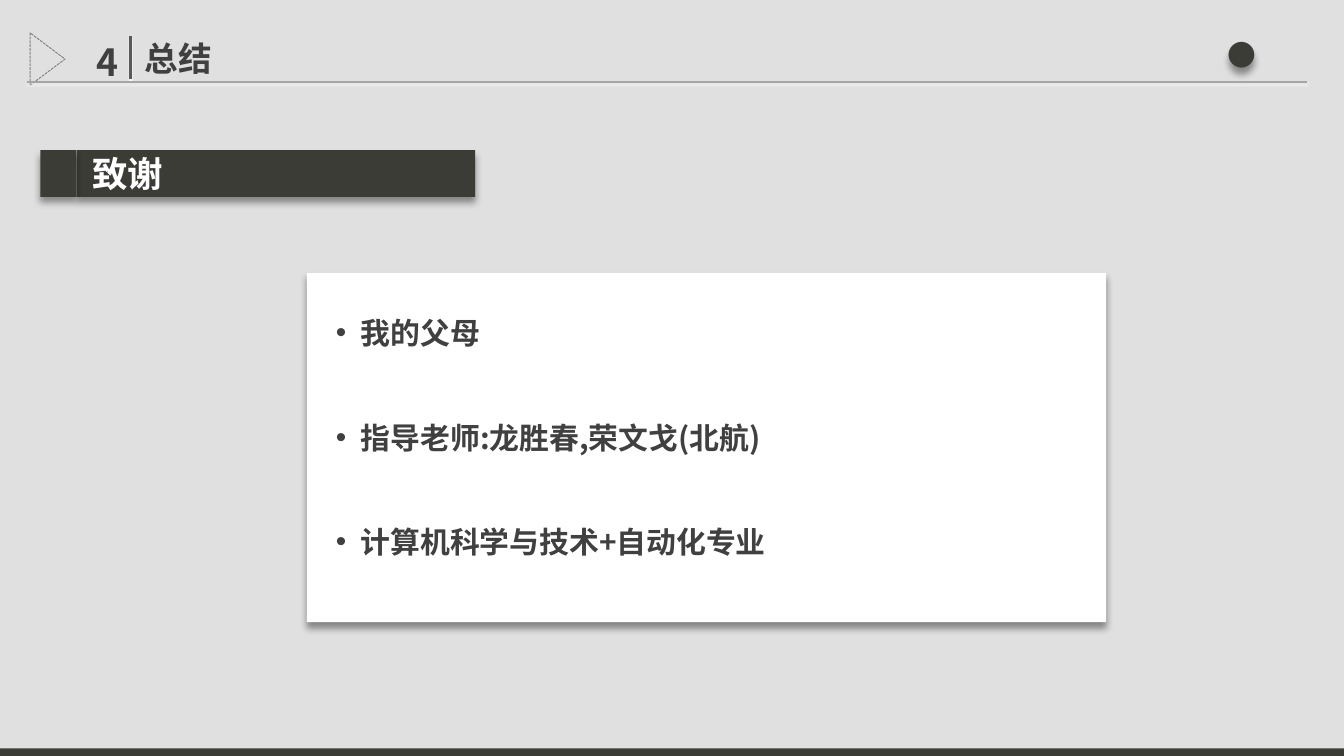
from lxml.etree import SubElement
from pptx import Presentation
from pptx.dml.color import RGBColor
from pptx.enum.dml import MSO_LINE
from pptx.enum.shapes import MSO_CONNECTOR, MSO_SHAPE
from pptx.enum.text import MSO_AUTO_SIZE, PP_ALIGN
from pptx.oxml.ns import qn
from pptx.util import Pt

FONT = "Noto Sans CJK SC"
DARK = "3C3C37"
GREY = "404040"
SOFT = ("000000", 40, 4, 3)
GLOW = ("FFFFFF", 100, 1, 1)


def rgb(color):
    """Return a colour object for a hex string."""
    return RGBColor.from_string(color)


def set_shadow(sp, shadow):
    """Give a shape a downward shadow of colour, opacity, blur and distance, or none."""
    effects = SubElement(sp._element.spPr, qn("a:effectLst"))
    if shadow:
        color, opacity, blur, dist = shadow
        outer = SubElement(effects, qn("a:outerShdw"), blurRad=str(Pt(blur)),
                           dist=str(Pt(dist)), dir="5400000", algn="t", rotWithShape="0")
        clr = SubElement(outer, qn("a:srgbClr"), val=color)
        SubElement(clr, qn("a:alpha"), val=str(opacity * 1000))


def add_rect(s, x, y, w, h, color, shadow=None, opacity=None):
    """Add a filled rectangle without outline."""
    sp = s.shapes.add_shape(MSO_SHAPE.RECTANGLE, Pt(x), Pt(y), Pt(w), Pt(h))
    sp.fill.solid()
    sp.fill.fore_color.rgb = rgb(color)
    sp.line.fill.background()
    if opacity:
        clr = sp._element.spPr.find(qn("a:solidFill")).find(qn("a:srgbClr"))
        SubElement(clr, qn("a:alpha"), val=str(opacity * 1000))
    set_shadow(sp, shadow)


def add_line(s, x1, y1, x2, y2, color, width):
    """Add a straight line with a light lower edge."""
    line = s.shapes.add_connector(MSO_CONNECTOR.STRAIGHT, Pt(x1), Pt(y1), Pt(x2), Pt(y2))
    line.line.color.rgb = rgb(color)
    line.line.width = Pt(width)
    set_shadow(line, GLOW)


def add_marker(s, x, y, w, h):
    """Add the dashed triangle that points right."""
    sp = s.shapes.add_shape(MSO_SHAPE.FLOWCHART_MERGE, Pt(x), Pt(y), Pt(w), Pt(h))
    sp.rotation = 270
    sp.fill.background()
    sp.line.color.rgb = rgb("808080")
    sp.line.width = Pt(0.5)
    sp.line.dash_style = MSO_LINE.SQUARE_DOT
    set_shadow(sp, None)


def add_run(p, text, size, color):
    """Add a bold run in the slide font."""
    r = p.add_run()
    r.text = text
    r.font.size = Pt(size)
    r.font.bold = True
    r.font.color.rgb = rgb(color)
    r.font.name = FONT
    SubElement(r._r.get_or_add_rPr(), qn("a:ea"), typeface=FONT)


def add_box(s, x, y, w, h):
    """Add an empty wrapping text box that grows with its text."""
    sp = s.shapes.add_textbox(Pt(x), Pt(y), Pt(w), Pt(h))
    sp.text_frame.word_wrap = True
    sp.text_frame.auto_size = MSO_AUTO_SIZE.SHAPE_TO_FIT_TEXT
    return sp


def add_label(s, x, y, w, h, text, size, color, align=PP_ALIGN.LEFT, shadow=None):
    """Add a text box with one line."""
    sp = add_box(s, x, y, w, h)
    p = sp.text_frame.paragraphs[0]
    p.alignment = align
    add_run(p, text, size, color)
    if shadow:
        set_shadow(sp, shadow)


def add_bullets(s, x, y, w, h, items):
    """Add a bulleted list with one line of space between items."""
    tf = add_box(s, x, y, w, h).text_frame
    for i, item in enumerate(items):
        p = tf.add_paragraph() if i else tf.paragraphs[0]
        p.line_spacing = Pt(28)
        p.space_before = Pt(28 if i else 0)
        pPr = p._p.get_or_add_pPr()
        pPr.set("marL", str(Pt(13.5)))
        pPr.set("indent", str(Pt(-13.5)))
        SubElement(pPr, qn("a:buFont"), typeface="Arial")
        SubElement(pPr, qn("a:buChar"), char="•")
        add_run(p, item, 16, GREY)


def add_header(s):
    """Add the section number, title, rule and corner dot."""
    add_line(s, 69.8, 42.5, 69.8, 19.5, "595959", 1.5)
    add_label(s, 8.6, 17.3, 62, 31.5, "4", 20, GREY, PP_ALIGN.RIGHT)
    add_label(s, 70.6, 16.6, 238, 29, "总结", 18, GREY)
    add_label(s, 592.6, -7.2, 118.8, 72.7, "· ", 54, DARK, PP_ALIGN.RIGHT, SOFT)
    add_marker(s, 11.5, 22.3, 28, 18.7)
    add_line(s, 14.4, 43.9, 700, 43.9, "A6A6A6", 0.75)


def main():
    """Build the acknowledgements slide."""
    prs = Presentation()
    prs.slide_width, prs.slide_height = Pt(720), Pt(405)
    s = prs.slides.add_slide(prs.slide_layouts[6])
    add_rect(s, 0, -2.9, 720, 415.4, "000000", opacity=12)
    add_header(s)
    add_rect(s, 164.4, 146.2, 428.2, 187.2, "FFFFFF", SOFT)
    add_bullets(s, 172.8, 156.2, 368.6, 145.4,
                ["我的父母", "指导老师:龙胜春,荣文戈(北航)", "计算机科学与技术+自动化专业"])
    add_rect(s, 0, 401, 720, 11.5, DARK)
    add_rect(s, 41, 80.5, 213.6, 25, DARK, SOFT)
    add_rect(s, 21.6, 80.5, 19.4, 25, DARK, SOFT)
    add_label(s, 42.5, 77.8, 193, 30.2, "致谢", 19, "FFFFFF")
    prs.save("out.pptx")


if __name__ == "__main__":
    main()
